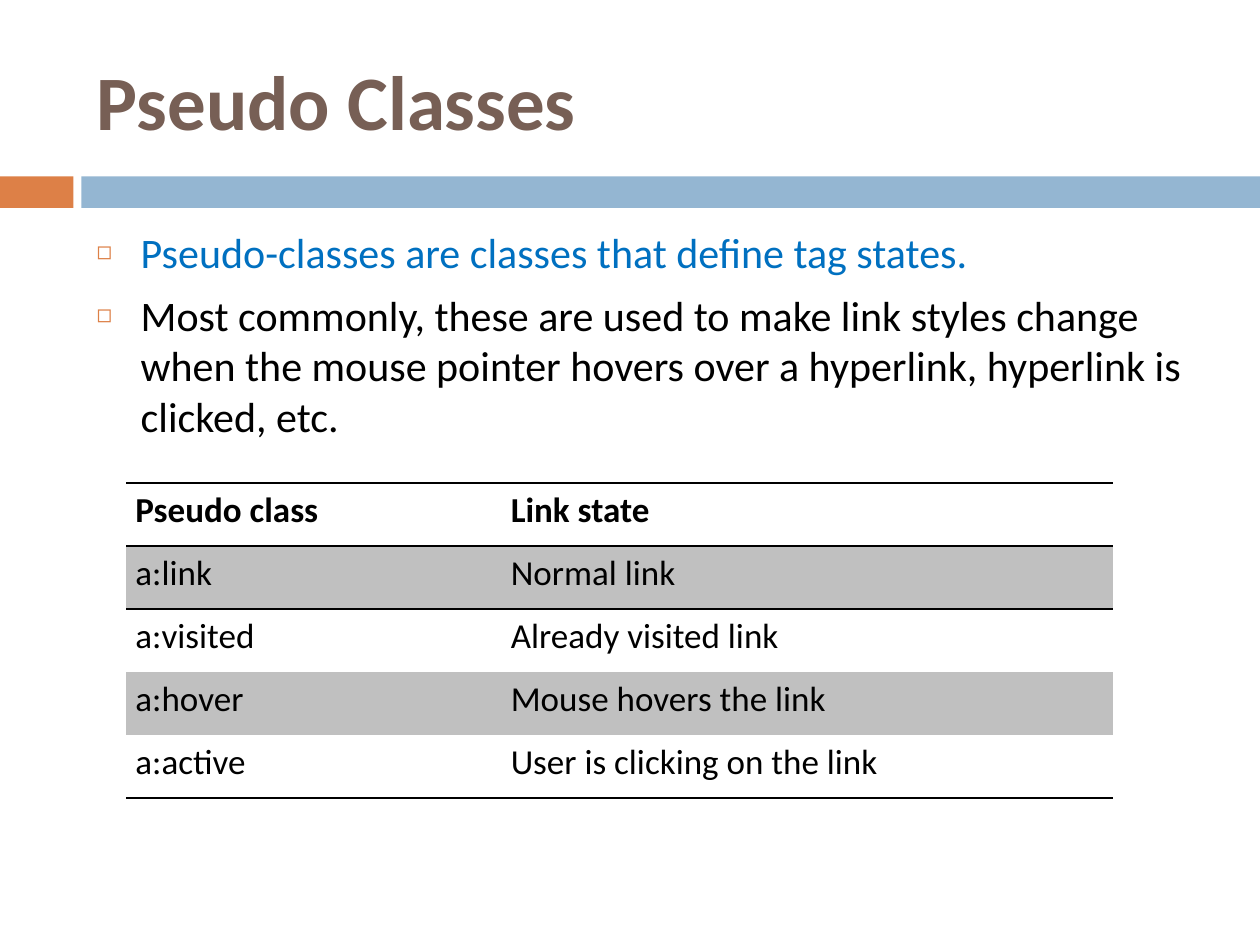
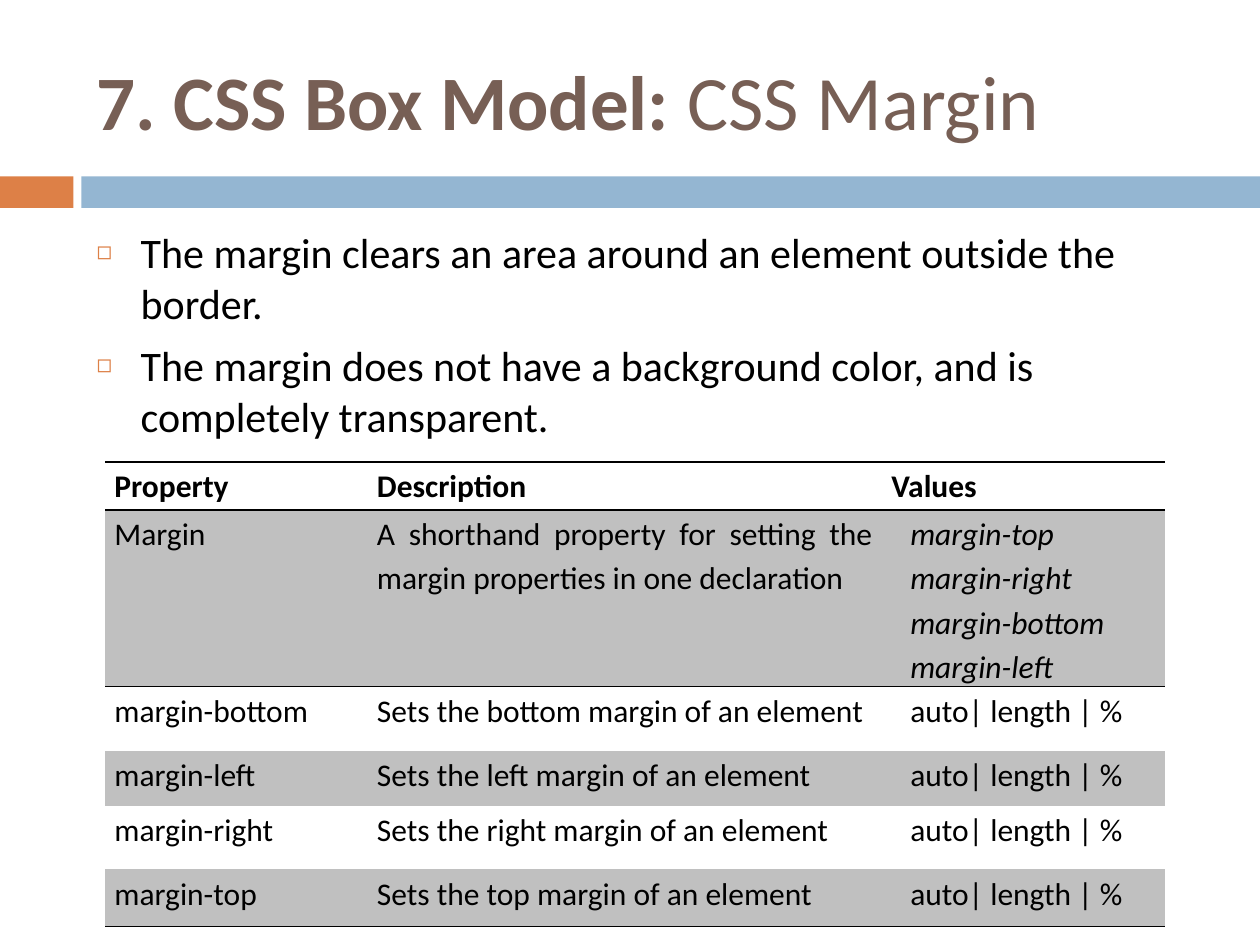
"""Build two CSS lesson slides with a shared title, band and table style."""
from lxml.etree import SubElement
from pptx import Presentation
from pptx.dml.color import RGBColor
from pptx.enum.shapes import MSO_SHAPE
from pptx.enum.text import MSO_ANCHOR, MSO_AUTO_SIZE, PP_ALIGN
from pptx.oxml.ns import qn
from pptx.util import Pt

COLORS = {
    "title": "775F55",
    "orange": "DD8047",
    "blue": "94B6D2",
    "highlight": "0070C0",
    "text": "000000",
    "stripe": "C0C0C0",
}
FONT = "Calibri"
NO_TABLE_STYLE = "{2D5ABB26-0587-4C30-8999-92F81FD0307C}"
TITLE_FORMAT = {"size": Pt(44), "name": FONT}
BODY_FORMAT = {"size": Pt(24), "name": FONT}
CELL_FRAME = {"margin_left": Pt(5.4), "margin_right": Pt(5.4),
              "margin_top": 0, "margin_bottom": 0}
BODY_INDENT = Pt(25.2)
VALUE_INDENT = Pt(10.8)


def set_attributes(target, values):
    for name, value in values.items():
        setattr(target, name, value)


def format_run(run, color, values):
    set_attributes(run.font, values)
    run.font.color.rgb = RGBColor.from_string(COLORS[color])


def place(shape, left, top, width, height):
    set_attributes(shape, {"left": Pt(left), "top": Pt(top),
                           "width": Pt(width), "height": Pt(height)})


def add_band(slide, color, left, width):
    band = slide.shapes.add_shape(MSO_SHAPE.RECTANGLE, Pt(left), Pt(100.8), Pt(width), Pt(18))
    band.shadow.inherit = False
    band.fill.solid()
    band.fill.fore_color.rgb = RGBColor.from_string(COLORS[color])
    band.line.fill.background()


def fill_title(slide, bold_text, plain_text):
    title = slide.shapes.title
    place(title, 48, 18, 642, 78)
    set_attributes(title.text_frame, {"vertical_anchor": MSO_ANCHOR.MIDDLE, "word_wrap": True,
                                      "auto_size": MSO_AUTO_SIZE.NONE})
    paragraph = title.text_frame.paragraphs[0]
    paragraph.alignment = PP_ALIGN.LEFT
    for text, bold in ((bold_text, True), (plain_text, False)):
        if text:
            run = paragraph.add_run()
            run.text = text
            format_run(run, "title", TITLE_FORMAT | {"bold": bold})


def add_bullet(paragraph):
    properties = paragraph._p.get_or_add_pPr()
    properties.set("marL", str(BODY_INDENT))
    properties.set("indent", str(-BODY_INDENT))
    bullet_color = SubElement(properties, qn("a:buClr"))
    SubElement(bullet_color, qn("a:srgbClr"), val=COLORS["orange"])
    SubElement(properties, qn("a:buSzPct"), val="60000")
    SubElement(properties, qn("a:buChar"), char="◻")


def fill_body(slide, bullets):
    body = slide.placeholders[1]
    place(body, 48, 126, 642, 354)
    frame = body.text_frame
    set_attributes(frame, {"vertical_anchor": MSO_ANCHOR.TOP, "word_wrap": True,
                           "auto_size": MSO_AUTO_SIZE.NONE})
    for index, (text, color) in enumerate(bullets):
        paragraph = frame.add_paragraph() if index else frame.paragraphs[0]
        paragraph.text = text
        paragraph.space_before = Pt(7)
        add_bullet(paragraph)
        format_run(paragraph.runs[0], color, BODY_FORMAT)


def add_border(cell, side):
    line = SubElement(cell._tc.get_or_add_tcPr(), qn(f"a:ln{side}"), w=str(Pt(1)))
    fill = SubElement(line, qn("a:solidFill"))
    SubElement(fill, qn("a:srgbClr"), val=COLORS["text"])


def fill_cell(cell, text, font_format, is_value):
    set_attributes(cell, CELL_FRAME)
    paragraph = cell.text_frame.paragraphs[0]
    paragraph.text = text
    paragraph.line_spacing = 1.15
    paragraph.alignment = PP_ALIGN.LEFT if is_value else PP_ALIGN.JUSTIFY
    if is_value:
        paragraph._p.get_or_add_pPr().set("marL", str(VALUE_INDENT))
    for run in paragraph.runs:
        format_run(run, "text", font_format | {"italic": "\n" in text})


def add_striped_table(slide, left, top, widths, heights, rows, size):
    frame = slide.shapes.add_table(len(rows), len(widths), Pt(left), Pt(top),
                                   Pt(sum(widths)), Pt(sum(heights)))
    table = frame.table
    set_attributes(table, {"first_row": False, "horz_banding": False})
    table._tbl.tblPr.find(qn("a:tableStyleId")).text = NO_TABLE_STYLE
    for column, width in zip(table.columns, widths):
        column.width = Pt(width)
    for row_index, (texts, height) in enumerate(zip(rows, heights)):
        table.rows[row_index].height = Pt(height)
        font_format = {"size": Pt(size), "name": FONT, "bold": row_index == 0}
        for column_index, text in enumerate(texts):
            cell = table.cell(row_index, column_index)
            fill_cell(cell, text, font_format, row_index > 0 and column_index == 2)
            if row_index < 2:
                add_border(cell, "T")
            if row_index in (0, len(rows) - 1):
                add_border(cell, "B")
            if row_index % 2:
                cell.fill.solid()
                cell.fill.fore_color.rgb = RGBColor.from_string(COLORS["stripe"])
            else:
                cell.fill.background()


def add_lesson_slide(presentation, bold_title, plain_title, bullets):
    slide = presentation.slides.add_slide(presentation.slide_layouts[1])
    add_band(slide, "orange", 0, 42)
    add_band(slide, "blue", 46.5, 673.5)
    fill_title(slide, bold_title, plain_title)
    fill_body(slide, bullets)
    return slide


def main():
    presentation = Presentation()
    set_attributes(presentation, {"slide_width": Pt(720), "slide_height": Pt(540)})

    pseudo_slide = add_lesson_slide(presentation, "Pseudo Classes", "", [
        ("Pseudo-classes are classes that define tag states.", "highlight"),
        ("Most commonly, these are used to make link styles change when the mouse pointer "
         "hovers over a hyperlink, hyperlink is clicked, etc.", "text"),
    ])
    link_states = [
        ("Pseudo class", "Link state"),
        ("a:link", "Normal link"),
        ("a:visited", "Already visited link"),
        ("a:hover", "Mouse hovers the link"),
        ("a:active", "User is clicking on the link"),
    ]
    add_striped_table(pseudo_slide, 72, 276, [214.5, 349.5], [36] * 5, link_states, 20)

    margin_slide = add_lesson_slide(presentation, "7. CSS Box Model: ", "CSS Margin", [
        ("The margin clears an area around an element outside the border.", "text"),
        ("The margin does not have a background color, and is completely transparent.", "text"),
    ])
    sides = ["bottom", "left", "right", "top"]
    margin_properties = [
        ("Property", "Description", "Values"),
        ("Margin", "A shorthand property for setting the margin properties in one declaration",
         "margin-top\nmargin-right\nmargin-bottom\nmargin-left"),
    ] + [(f"margin-{side}", f"Sets the {side} margin of an element", "auto| length | %")
         for side in sides]
    add_striped_table(margin_slide, 60, 264, [150, 294, 162],
                      [27.4, 92.9, 36.7, 31.4, 36.3, 32.8], margin_properties, 18)

    presentation.save("out.pptx")


if __name__ == "__main__":
    main()
